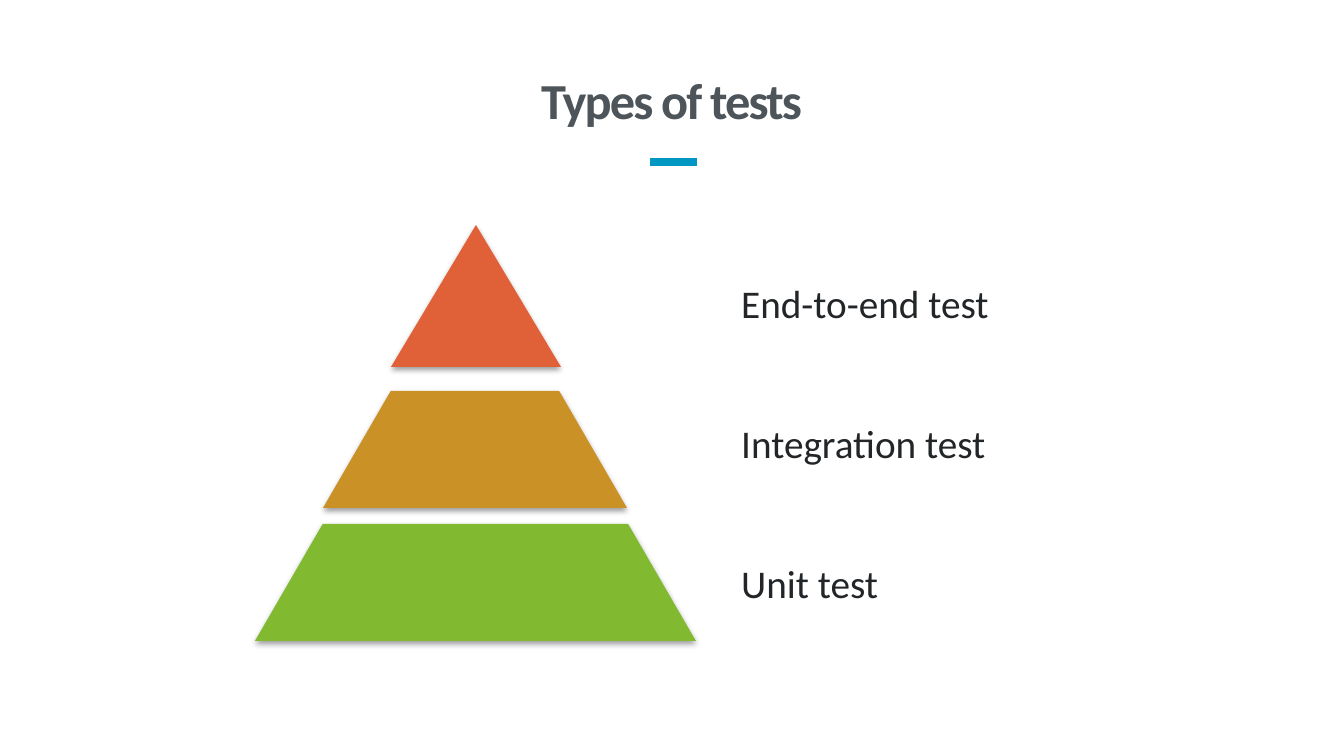
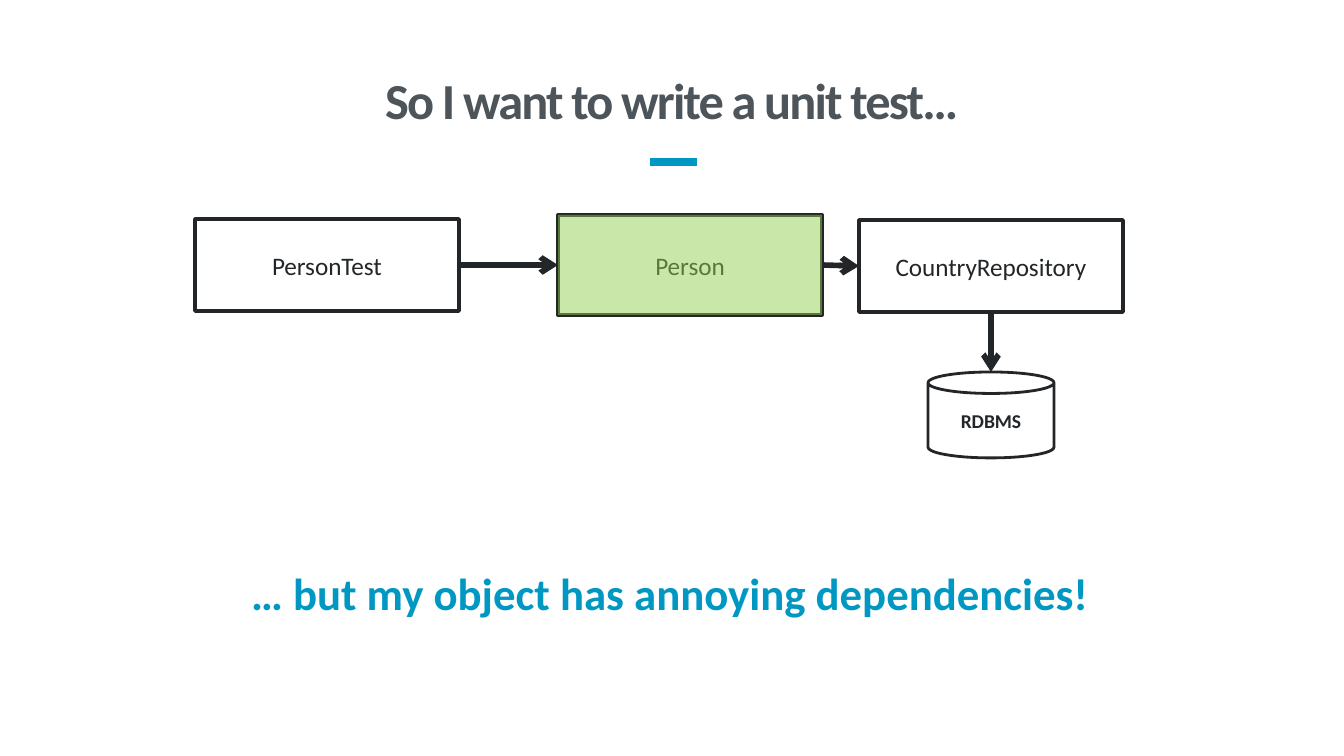
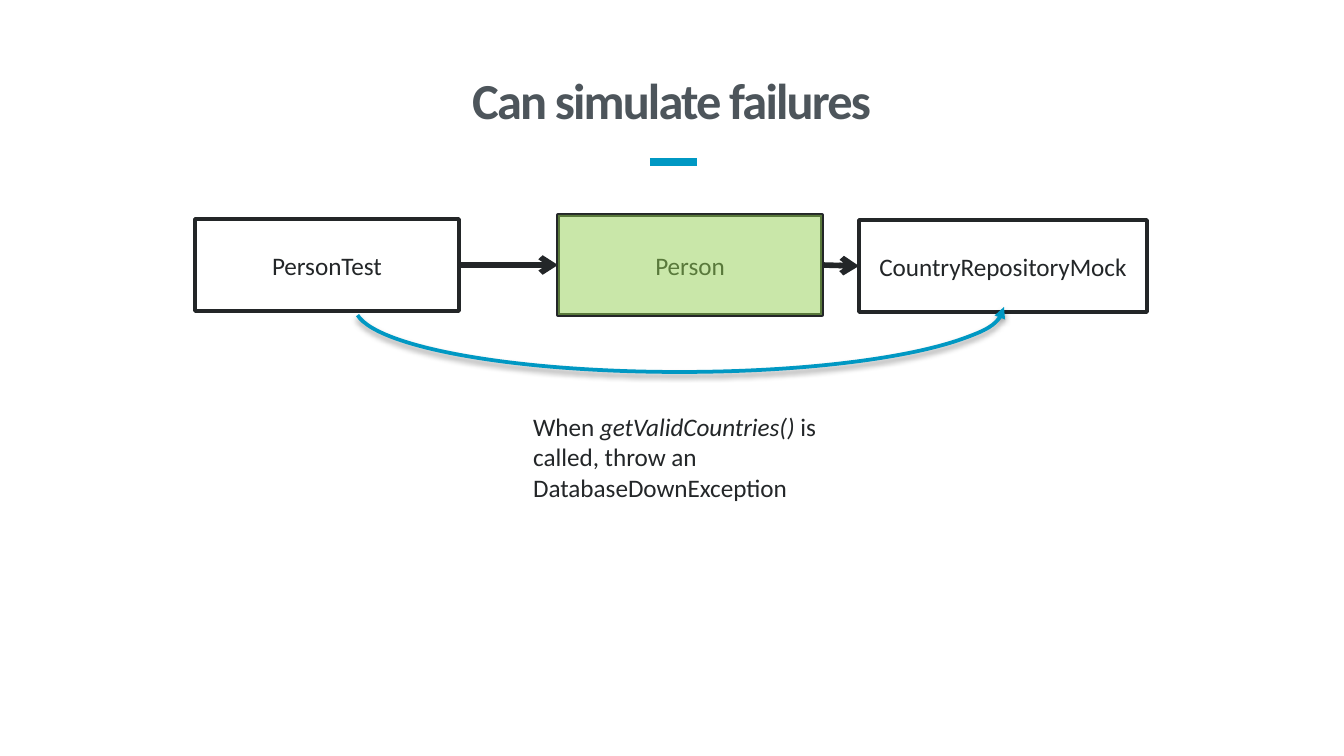
from lxml import etree
from pptx import Presentation
from pptx.dml.color import RGBColor
from pptx.enum.shapes import MSO_CONNECTOR, MSO_SHAPE
from pptx.enum.text import MSO_ANCHOR, MSO_AUTO_SIZE, PP_ALIGN
from pptx.oxml.ns import qn
from pptx.util import Pt

RECT, CAN, ARC = MSO_SHAPE.RECTANGLE, MSO_SHAPE.CAN, MSO_SHAPE.ARC
TRIANGLE, TRAPEZOID = MSO_SHAPE.ISOSCELES_TRIANGLE, MSO_SHAPE.TRAPEZOID
STRAIGHT = MSO_CONNECTOR.STRAIGHT
LEFT, CENTER = PP_ALIGN.LEFT, PP_ALIGN.CENTER
TOP, MIDDLE, BOTTOM = MSO_ANCHOR.TOP, MSO_ANCHOR.MIDDLE, MSO_ANCHOR.BOTTOM
SIDE_LEFT, SIDE_BOTTOM, SIDE_RIGHT = 1, 2, 3

PX = 914400 / 134.4
FONT = "Calibri"
INK, HEADING, ACCENT, WHITE = "232628", "4D555B", "0098C3", "FFFFFF"
HIGHLIGHT = "92D050"

# Level: label, shape, fill, box in px
PYRAMID = [
    ("End-to-end test", TRIANGLE, "E06137", (391, 225, 170, 142)),
    ("Integration test", TRAPEZOID, "CA9126", (323, 391, 304, 117)),
    ("Unit test", TRAPEZOID, "81BA31", (255, 524, 441, 117)),
]
LABEL_LEFT, LABEL_TOP, LABEL_PITCH = 728, 240, 140
LABEL_SIZE = (353, 126)
TRAPEZOID_SLANT = 0.579

TEST_BOX = (195, 219, 264, 92)
PERSON_BOX = (558, 215, 264, 100)
REPOSITORY_BOX = (859, 220, 264, 92)
MOCK_BOX = (859, 220, 288, 92)
DATABASE_BOX = (928, 372, 126, 86)

CONCLUSION = "… but my object has annoying dependencies!"
FAILURE = [("When ", False), ("getValidCountries() ", True),
           ("is called, throw an DatabaseDownException", False)]


def px(*lengths):
    return [round(length * PX) for length in lengths]


def color(value):
    return RGBColor.from_string(value)


def add_xml(parent, tag, **attributes):
    return etree.SubElement(parent, qn(tag), attributes)


def write(frame, text, size=13.5, ink=INK, bold=False, align=LEFT,
          anchor=MIDDLE, wrap=True, spacing=None, tracking=None, inset=None):
    """Fill a text frame with a string or a list of (text, italic) runs."""
    frame.auto_size = MSO_AUTO_SIZE.NONE
    frame.word_wrap = wrap
    frame.vertical_anchor = anchor
    if inset:
        frame.margin_left = frame.margin_right = px(inset[0])[0]
        frame.margin_top = frame.margin_bottom = px(inset[1])[0]
    paragraph = frame.paragraphs[0]
    paragraph.alignment = align
    if spacing:
        paragraph.line_spacing = spacing
    for words, italic in [(text, False)] if isinstance(text, str) else text:
        run = paragraph.add_run()
        run.text = words
        font = run.font
        font.name, font.size, font.bold, font.italic = FONT, Pt(size), bold, italic
        font.color.rgb = color(ink)
        if tracking:
            run.font._element.set("spc", str(tracking))


def add_text(slide, box, text, **style):
    write(slide.shapes.add_textbox(*px(*box)).text_frame, text, **style)


def set_line(line, ink, width, tail=None):
    line.color.rgb = color(ink)
    line.width = Pt(width)
    if tail:
        add_xml(line._get_or_add_ln(), "a:tailEnd", type=tail)


def add_figure(slide, kind, box, fill=None, line=None, width=2, tail=None, alpha=None):
    figure = slide.shapes.add_shape(kind, *px(*box))
    figure.shadow.inherit = False
    if fill:
        figure.fill.solid()
        figure.fill.fore_color.rgb = color(fill)
        if alpha:
            rgb = figure.element.spPr.find(".//" + qn("a:srgbClr"))
            add_xml(rgb, "a:alpha", val=str(alpha * 1000))
    else:
        figure.fill.background()
    if line:
        set_line(figure.line, line, width, tail)
    else:
        figure.line.fill.background()
    return figure


def cast_shadow(figure):
    effects = figure.element.spPr.find(qn("a:effectLst"))
    shadow = add_xml(effects, "a:outerShdw", blurRad=str(Pt(3.1)), dist=str(Pt(1.6)),
                     dir="5400000", rotWithShape="0")
    add_xml(add_xml(shadow, "a:srgbClr", val="000000"), "a:alpha", val="38000")


def add_line(slide, ends, ink, width, tail=None):
    line = slide.shapes.add_connector(STRAIGHT, *px(*ends))
    set_line(line.line, ink, width, tail)
    add_xml(line.element.spPr, "a:effectLst")
    return line


def add_class(slide, box, name):
    box_shape = add_figure(slide, RECT, box, WHITE, INK)
    write(box_shape.text_frame, name, align=CENTER)
    return box_shape


def add_call(slide, caller, callee):
    call = add_line(slide, (0, 0, 0, 0), INK, 3, "arrow")
    call.begin_connect(caller, SIDE_RIGHT)
    call.end_connect(callee, SIDE_LEFT)


def add_call_chain(slide, repository_name, repository_box):
    """Draw test, object under test and repository; return the repository."""
    test = add_class(slide, TEST_BOX, "PersonTest")
    person = add_class(slide, PERSON_BOX, "Person")
    repository = add_class(slide, repository_box, repository_name)
    add_call(slide, test, person)
    add_call(slide, person, repository)
    add_figure(slide, RECT, PERSON_BOX, HIGHLIGHT, alpha=49)
    return repository


def add_titled_slide(deck, heading):
    slide = deck.slides.add_slide(deck.slide_layouts[5])
    title = slide.shapes.title
    title.left, title.top, title.width, title.height = px(58, 28, 1227, 108)
    write(title.text_frame, heading, size=27, ink=HEADING, bold=True, align=CENTER,
          anchor=BOTTOM, spacing=0.8, tracking=-100)
    add_line(slide, (650, 162, 697, 162), ACCENT, 4.5)
    return slide


def build_pyramid(deck):
    slide = add_titled_slide(deck, "Types of tests")
    for row, (label, kind, fill, box) in enumerate(PYRAMID):
        level = add_figure(slide, kind, box, fill)
        if kind == TRAPEZOID:
            level.adjustments[0] = TRAPEZOID_SLANT
        cast_shadow(level)
        label_top = LABEL_TOP + row * LABEL_PITCH
        add_text(slide, (LABEL_LEFT, label_top, *LABEL_SIZE), label, size=21)


def build_dependencies(deck):
    slide = add_titled_slide(deck, "So I want to write a unit test…")
    repository = add_call_chain(slide, "CountryRepository", REPOSITORY_BOX)
    database = add_figure(slide, CAN, DATABASE_BOX, WHITE, INK, 1.5)
    write(database.text_frame, "RDBMS", size=10.5, bold=True, align=CENTER, wrap=False)
    left, top, width, _ = DATABASE_BOX
    middle = left + width // 2
    query = add_line(slide, (middle, top, middle, top), INK, 3, "arrow")
    query.begin_connect(repository, SIDE_BOTTOM)
    add_text(slide, (242, 544, 934, 98), CONCLUSION, size=24, ink=ACCENT, bold=True,
             inset=(9, 5))


def build_failures(deck):
    slide = add_titled_slide(deck, "Can simulate failures")
    add_call_chain(slide, "CountryRepositoryMock", MOCK_BOX)
    add_text(slide, (520, 405, 337, 130), FAILURE, anchor=TOP)
    setup = add_figure(slide, ARC, (355, 242, 649, 130), line=ACCENT, tail="triangle")
    setup.adjustments[0], setup.adjustments[1] = 108.87, 0
    setup.element.spPr.find(qn("a:xfrm")).set("flipV", "1")
    cast_shadow(setup)


def main():
    deck = Presentation()
    deck.slide_width, deck.slide_height = px(1344, 756)
    build_pyramid(deck)
    build_dependencies(deck)
    build_failures(deck)
    deck.save("out.pptx")


if __name__ == "__main__":
    main()
